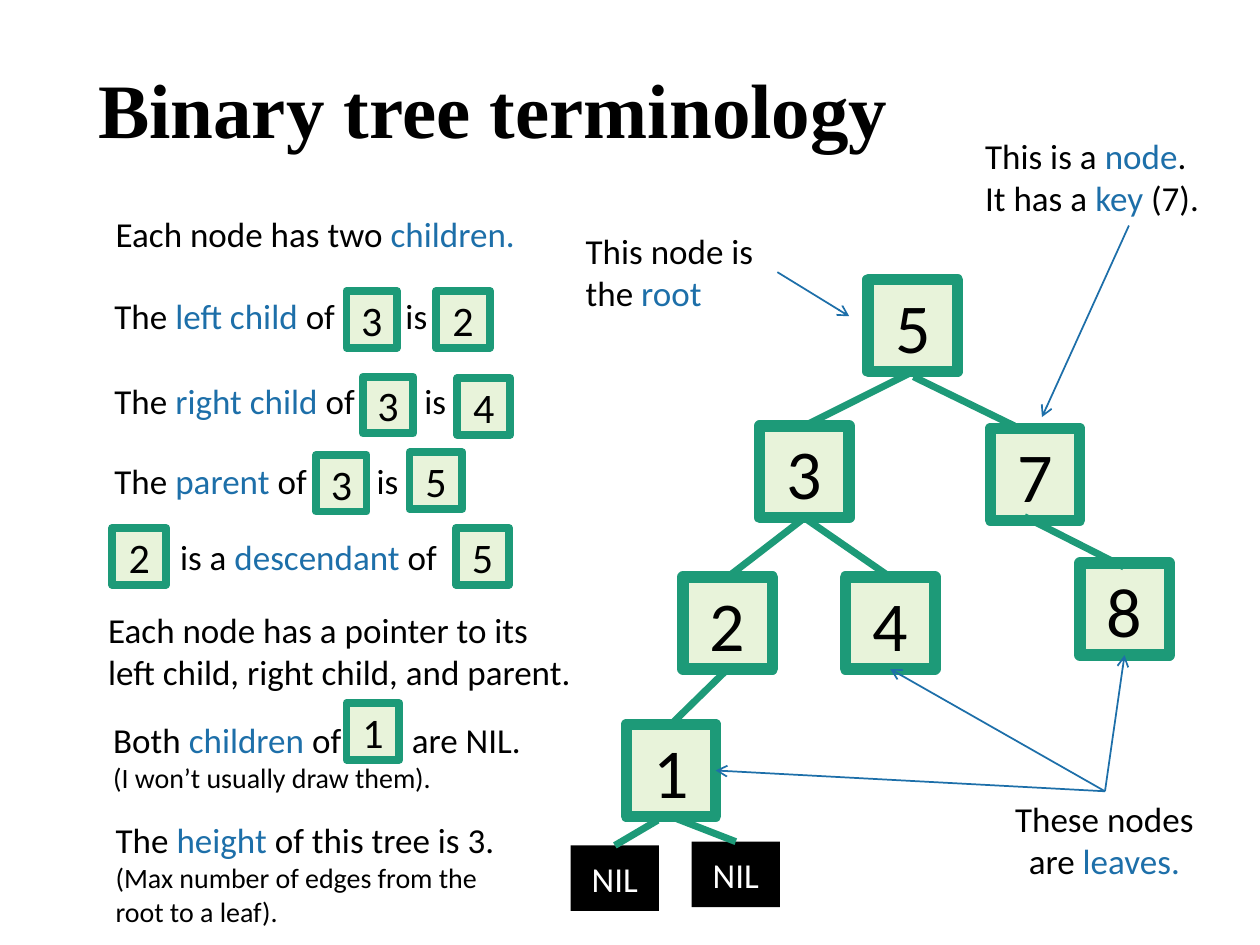
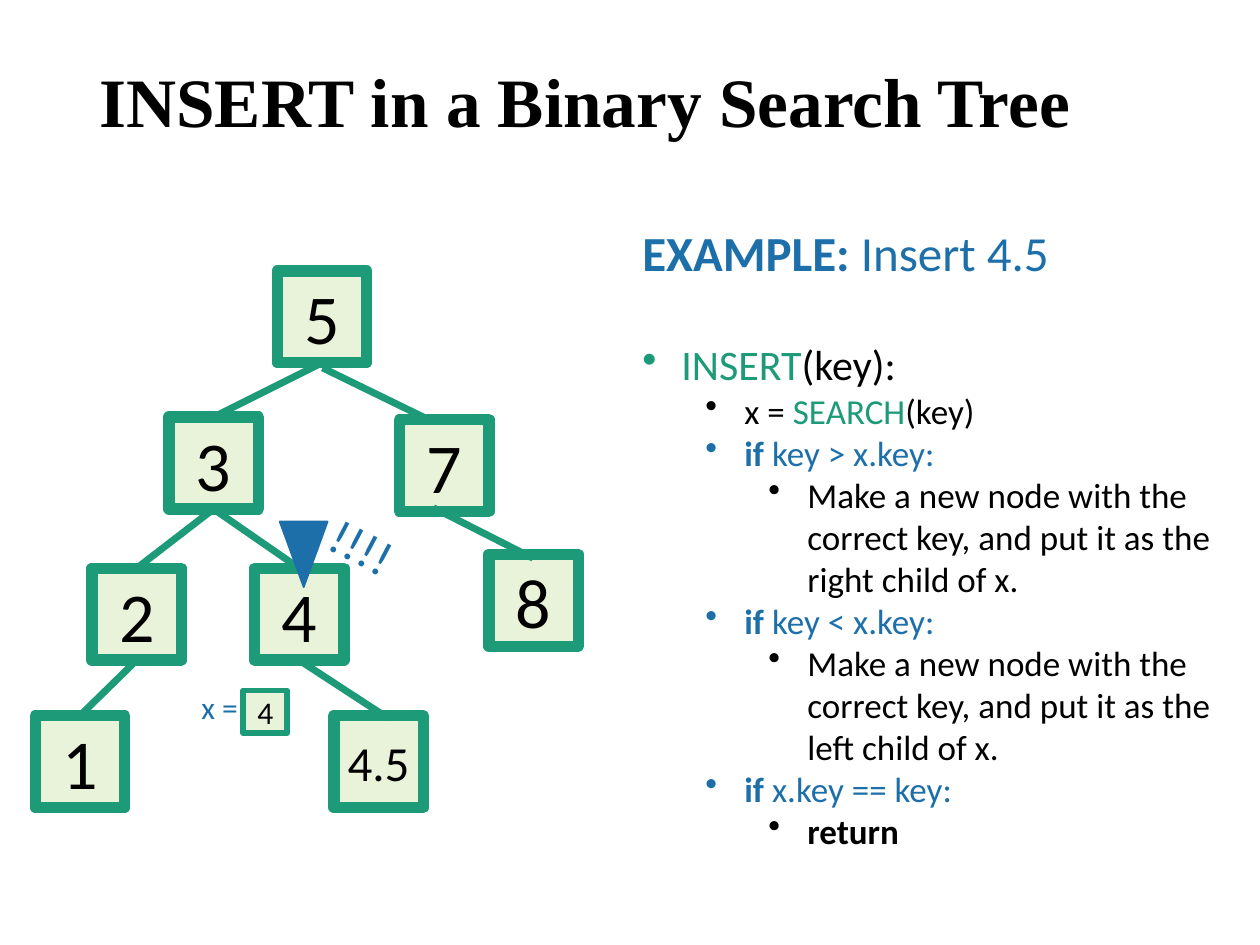
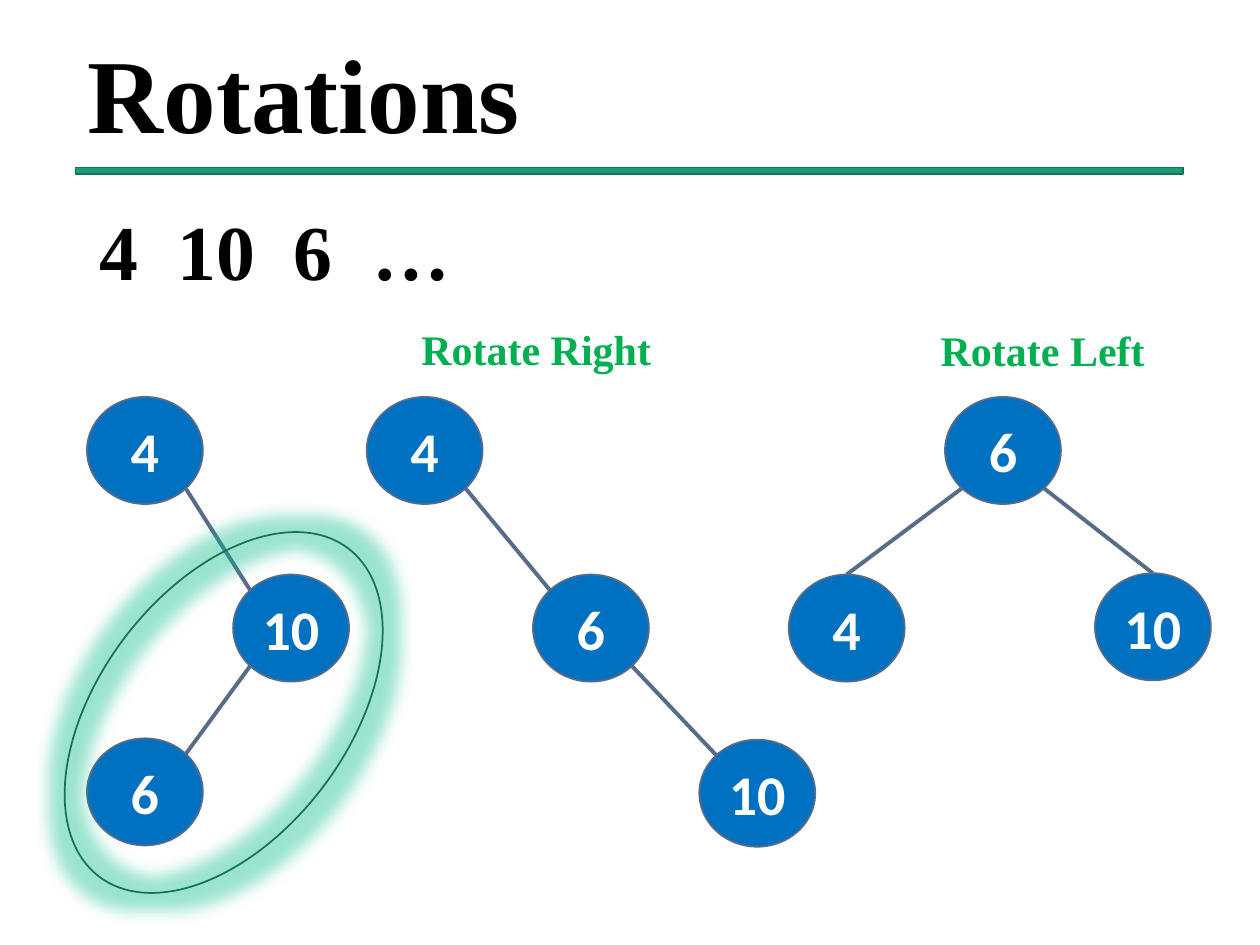
from lxml import etree
from pptx import Presentation
from pptx import util as u
from pptx.dml.color import RGBColor
from pptx.enum import shapes, text
from pptx.oxml import ns

# Shared look
BLACK = RGBColor(0x00, 0x00, 0x00)
WHITE = RGBColor(0xFF, 0xFF, 0xFF)
GREEN = RGBColor(0x1D, 0x9A, 0x78)
DARK_GREEN = RGBColor(0x15, 0x72, 0x59)
BRIGHT_GREEN = RGBColor(0x00, 0xB0, 0x50)
PALE_GREEN = RGBColor(0xE8, 0xF3, 0xDA)
GLOW_GREEN = RGBColor(0x05, 0xBB, 0x89)
BLUE = RGBColor(0x1D, 0x6F, 0xA9)
CIRCLE_BLUE = RGBColor(0x00, 0x70, 0xC0)
SLATE = RGBColor(0x58, 0x6C, 0x89)
SANS, SERIF = "Calibri", "Times New Roman"
TERM = {"color": BLUE}
CALL = {"color": GREEN}
KEYWORD = {"color": BLUE, "bold": True}
NOTE = {"size": 16}
CENTER = text.PP_ALIGN.CENTER
TOP, BOTTOM, RIGHT = 0, 2, 3
NODE_W, NODE_H = 0.71, 0.73
CIRCLE_W, CIRCLE_H = 0.92, 0.85
DIAGONAL = 0.35  # share of a circle's width from centre to diagonal point

# Tree positions, shared by the first two slides
TREE_NODES = {"4": (2.02, 4.51), "2": (0.73, 4.51), "8": (3.88, 4.4),
              "7": (3.17, 3.33), "1": (0.28, 5.68), "3": (1.34, 3.31),
              "5": (2.2, 2.15)}
JOINED_EDGES = ("34", "53", "32", "21")
LOOSE_EDGES = (((2.56, 2.92), (3.36, 3.31)), ((3.44, 4.03), (4.23, 4.43)))


def add_child(parent, tag, **attributes):
    return etree.SubElement(parent, ns.qn(tag), attributes)


def fill_text(frame, paragraphs, size=20, font=SANS, color=BLACK, bold=False,
              align=None, anchor=text.MSO_ANCHOR.TOP, spacing=None, tabs=()):
    """Each paragraph is a list of runs: a string, or (string, overrides)."""
    frame.word_wrap = True
    frame.vertical_anchor = anchor
    for i, runs in enumerate(paragraphs):
        p = frame.add_paragraph() if i else frame.paragraphs[0]
        p.alignment, p.line_spacing = align, spacing
        if tabs:
            stops = add_child(p._p.get_or_add_pPr(), "a:tabLst")
            for stop in tabs:
                add_child(stops, "a:tab", pos=str(u.Inches(stop)), algn="l")
        for item in runs:
            words, changes = (item, {}) if isinstance(item, str) else item
            style = {"size": size, "color": color, "bold": bold, **changes}
            run = p.add_run()
            run.text = words
            run.font.name, run.font.size = font, u.Pt(style["size"])
            run.font.bold = style["bold"]
            run.font.color.rgb = style["color"]


def add_text(slide, box, *paragraphs, **style):
    label = slide.shapes.add_textbox(*map(u.Inches, box))
    fill_text(label.text_frame, paragraphs, **style)
    return label


def add_title(slide, box, words, size):
    add_text(slide, box, [words], size=size, font=SERIF, bold=True,
             anchor=text.MSO_ANCHOR.MIDDLE, spacing=0.9)


def add_figure(slide, kind, box, fill=None, line=None, width=1):
    figure = slide.shapes.add_shape(kind, *map(u.Inches, box))
    figure.shadow.inherit = False
    if fill is None:
        figure.fill.background()
    else:
        figure.fill.solid()
        figure.fill.fore_color.rgb = fill
    if line is None:
        figure.line.fill.background()
    else:
        figure.line.color.rgb = line
        figure.line.width = u.Pt(width)
    return figure


def add_box(slide, box, label, size=24, border=4.5, fill=PALE_GREEN,
            line=GREEN, color=BLACK):
    node = add_figure(slide, shapes.MSO_SHAPE.RECTANGLE, box, fill, line, border)
    fill_text(node.text_frame, [[label]], size=size, color=color, align=CENTER,
              anchor=text.MSO_ANCHOR.MIDDLE)
    return node


def add_tree_node(slide, place, label, size=40):
    return add_box(slide, (*place, NODE_W, NODE_H), label, size, border=6.5)


def add_line(slide, start, end, color=GREEN, width=4, arrow=False):
    """An end is a point (x, y) or a joint (shape, site)."""
    points = [(0, 0) if hasattr(e[0], "shape_id") else e for e in (start, end)]
    line = slide.shapes.add_connector(
        shapes.MSO_CONNECTOR.STRAIGHT,
        *(u.Inches(v) for point in points for v in point))
    if hasattr(start[0], "shape_id"):
        line.begin_connect(*start)
    if hasattr(end[0], "shape_id"):
        line.end_connect(*end)
    line.line.color.rgb = color
    line.line.width = u.Pt(width)
    if arrow:
        add_child(line.line._get_or_add_ln(), "a:tailEnd", type="arrow")
    add_child(line._element.spPr, "a:effectLst")


def add_arrow(slide, start, end):
    add_line(slide, start, end, BLUE, 1, arrow=True)


def add_tree(slide, dx=0, dy=0):
    nodes = {key: add_tree_node(slide, (x + dx, y + dy), key)
             for key, (x, y) in TREE_NODES.items()}
    for start, end in LOOSE_EDGES:
        add_line(slide, (start[0] + dx, start[1] + dy), (end[0] + dx, end[1] + dy))
    for parent, child in JOINED_EDGES:
        add_line(slide, (nodes[parent], BOTTOM), (nodes[child], TOP))
    return nodes


def add_circles(slide, circles, edges):
    """Circles map a key to its corner; edges join (key, x side, y side) points."""
    def rim(key, side_x, side_y):
        x, y = circles[key]
        reach = DIAGONAL if side_x else 0.5
        return (x + CIRCLE_W * (0.5 + side_x * reach),
                y + CIRCLE_H * (0.5 + side_y * reach))

    for start, end in edges:
        add_line(slide, rim(*start), rim(*end), SLATE, 2.25)
    for key, place in circles.items():
        circle = add_figure(slide, shapes.MSO_SHAPE.OVAL,
                            (*place, CIRCLE_W, CIRCLE_H), CIRCLE_BLUE, SLATE)
        frame = circle.text_frame
        frame.margin_left = frame.margin_right = 0
        frame.margin_top = frame.margin_bottom = 0
        fill_text(frame, [[key]], size=32, color=WHITE, bold=True,
                  align=CENTER, anchor=text.MSO_ANCHOR.MIDDLE)


def add_outline(slide, box, items):
    """Items are (level, runs), drawn as a bulleted outline."""
    outline = add_text(slide, box, *(runs for _, runs in items))
    for (level, _), p in zip(items, outline.text_frame.paragraphs):
        p.level = level
        props = p._p.get_or_add_pPr()
        props.set("marL", str(u.Inches(0.31 + 0.5 * level)))
        props.set("indent", str(u.Inches(-0.31)))
        add_child(props, "a:buChar", char="•")


def build_terminology(slide):
    add_title(slide, (0.68, 0.46, 8.62, 0.89), "Binary tree terminology", 44)
    nodes = add_tree(slide, 4.69, 0.07)

    # Callouts around the tree
    add_text(slide, (4.55, 1.77, 1.63, 0.77), ["This node is the ", ("root", TERM)])
    add_text(slide, (7.72, 1.02, 2.48, 0.77), ["This is a ", ("node", TERM), "."],
             ["It has a ", ("key", TERM), " (7)."])
    add_arrow(slide, (8.96, 1.79), (8.27, 3.31))
    add_arrow(slide, (6.17, 2.16), (6.74, 2.51))
    add_text(slide, (7.88, 6.28, 1.77, 0.77),
             ["These nodes are ", ("leaves.", TERM)], align=CENTER)
    for leaf, site in (("1", RIGHT), ("4", BOTTOM), ("8", BOTTOM)):
        add_arrow(slide, (8.77, 6.28), (nodes[leaf], site))

    # Empty children of node 1
    for place, start in (((5.49, 6.68), (nodes["1"], BOTTOM)),
                         ((4.53, 6.71), (5.22, 6.51))):
        nil = add_box(slide, (*place, 0.7, 0.52), "NIL", 20, fill=BLACK,
                      line=None, color=WHITE)
        add_line(slide, start, (nil, TOP))

    # Definitions
    add_text(slide, (0.82, 1.64, 3.7, 0.44),
             ["Each node has two ", ("children.", TERM)])
    for term, top, tab in (("left child ", 2.29, 2.31),
                           ("right child ", 2.96, 2.46), ("parent ", 3.6, 2.08)):
        add_text(slide, (0.81, top, 3.61, 0.44),
                 ["The ", (term, TERM), "of\tis"], tabs=[tab])
    add_text(slide, (0.89, 4.2, 3.89, 0.44),
             ["\tis a ", ("descendant", TERM), " of"], tabs=[0.44])
    add_text(slide, (0.76, 4.78, 3.89, 0.77),
             ["Each node has a pointer to its left child, right child, and parent."])
    add_text(slide, (0.8, 5.65, 3.67, 0.71),
             ["Both ", ("children ", TERM), "of\tare NIL."],
             [("(I won’t usually draw them).", NOTE)], tabs=[2.37])
    add_text(slide, (0.82, 6.45, 3.36, 0.98),
             ["The ", ("height ", TERM), "of this tree is 3."],
             [("(Max number of edges from the root to a leaf).", NOTE)])

    # Small nodes set into the definitions
    for key, left, top, width in (
            ("3", 2.75, 2.31, 0.4), ("2", 3.46, 2.31, 0.43),
            ("3", 2.88, 2.99, 0.4), ("4", 3.63, 3.0, 0.42),
            ("3", 2.51, 3.61, 0.4), ("5", 3.25, 3.59, 0.42),
            ("2", 0.89, 4.19, 0.43), ("5", 3.62, 4.19, 0.42),
            ("1", 2.75, 5.58, 0.42)):
        add_box(slide, (left, top, width, 0.45), key)


def build_insert(slide):
    add_title(slide, (0.69, 0.4, 8.62, 0.87), "INSERT in a Binary Search Tree", 39.6)
    nodes = add_tree(slide)

    # Insertion point and new node
    pointer = add_figure(slide, shapes.MSO_SHAPE.ISOSCELES_TRIANGLE,
                         (2.22, 4.14, 0.38, 0.52), BLUE, BLUE)
    pointer.rotation = 180
    add_tree_node(slide, (2.65, 5.68), "4.5", 28)
    add_line(slide, (nodes["4"], BOTTOM), (3.08, 5.7))
    alarm = add_text(slide, (2.51, 4.11, 0.97, 0.57), ["!!!!"], size=28, color=BLUE)
    alarm.rotation = 27.8
    add_text(slide, (1.5, 5.41, 0.7, 0.4), ["x ="], size=18, color=BLUE)
    add_box(slide, (1.93, 5.48, 0.35, 0.34), "4", 18, 3.25)

    # Pseudocode
    add_text(slide, (5, 1.72, 4.36, 0.57),
             [("EXAMPLE: ", {"bold": True}), "Insert 4.5"], size=28, color=BLUE)
    items = [(0, [("INSERT", {"color": GREEN, "size": 24}),
                  ("(key):", {"size": 24})]),
             (1, ["x = ", ("SEARCH", CALL), "(key)"])]
    for sign, side in ((">", "right"), ("<", "left")):
        items += [(1, [("if ", KEYWORD), (f"key {sign} x.key:", TERM)]),
                  (2, ["Make a new node with the correct key, "
                       f"and put it as the {side} child of x."])]
    items += [(1, [("if ", KEYWORD), ("x.key == key:", TERM)]),
              (2, [("return", {"bold": True})])]
    add_outline(slide, (5, 2.64, 4.73, 4.85), items)


def build_rotations(slide):
    add_title(slide, (0.6, 0.26, 8.83, 1.06), "Rotations", 60)
    add_figure(slide, shapes.MSO_SHAPE.RECTANGLE, (0.6, 1.33, 8.79, 0.05),
               GREEN, DARK_GREEN)
    add_text(slide, (0.69, 1.7, 3.51, 0.71), ["4\t10\t6\t…"], size=44.4,
             font=SERIF, bold=True, spacing=0.8, tabs=(0.62, 1.54, 2.17))
    for words, left, top in (("Rotate Right", 2.85, 2.4), ("Rotate Left", 6.87, 2.41)):
        add_text(slide, (left, top, 2.81, 0.78), [words], size=24, font=SERIF,
                 color=BRIGHT_GREEN, bold=True, align=CENTER,
                 anchor=text.MSO_ANCHOR.MIDDLE, spacing=0.9)

    # Before, after the right rotation, after the left rotation
    add_circles(slide, {"4": (0.69, 3.15), "10": (1.85, 4.56), "6": (0.69, 5.86)},
                [(("4", 1, 1), ("10", -1, -1)), (("10", -1, 1), ("6", 1, -1))])
    add_circles(slide, {"4": (2.91, 3.15), "6": (4.23, 4.56), "10": (5.55, 5.87)},
                [(("4", 1, 1), ("6", -1, -1)), (("6", 1, 1), ("10", -1, -1))])
    add_circles(slide, {"6": (7.5, 3.15), "4": (6.26, 4.56), "10": (8.69, 4.55)},
                [(("6", -1, 1), ("4", 0, -1)), (("6", 1, 1), ("10", 0, -1))])

    # Glowing ring around the rotated pair
    ring = add_figure(slide, shapes.MSO_SHAPE.OVAL, (0.79, 4.02, 1.97, 3.27),
                      line=DARK_GREEN)
    ring.rotation = 37.2
    effects = ring._element.spPr.find(ns.qn("a:effectLst"))
    glow = add_child(effects, "a:glow", rad=str(u.Pt(18)))
    tint = add_child(glow, "a:srgbClr", val=str(GLOW_GREEN))
    add_child(tint, "a:alpha", val="40000")


def main():
    deck = Presentation()
    deck.slide_width, deck.slide_height = u.Inches(10), u.Inches(7.5)
    for build in (build_terminology, build_insert, build_rotations):
        build(deck.slides.add_slide(deck.slide_layouts[6]))
    deck.save("out.pptx")


if __name__ == "__main__":
    main()
